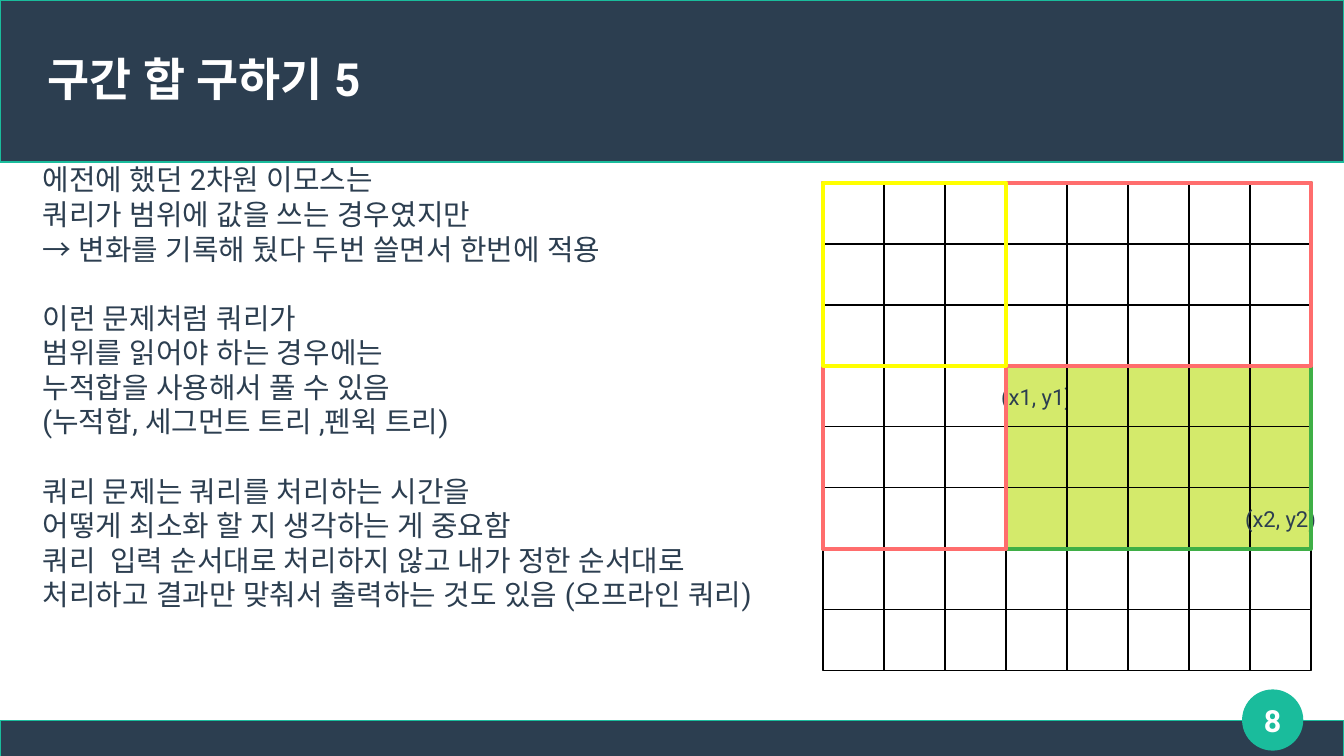
import dataclasses
import typing

import pptx
import pptx.dml.color
import pptx.enum.shapes
import pptx.enum.text
import pptx.oxml
import pptx.oxml.ns
import pptx.util

Inches = pptx.util.Inches
Pt = pptx.util.Pt
Align = pptx.enum.text.PP_ALIGN
Anchor = pptx.enum.text.MSO_ANCHOR
Preset = pptx.enum.shapes.MSO_SHAPE

FONT = "Roboto"
COLORS = {
    "navy": "2C3E50",
    "teal": "1ABC9C",
    "white": "FFFFFF",
    "black": "000000",
    "lime": "D4EA6B",
    "green": "3FAF46",
    "coral": "FF6D6D",
    "yellow": "FFFF00",
}

CELL = 0.5
GRID_LEFT, GRID_TOP, GRID_SIZE = 6.75, 1.5, 8
QUERY_ROWS, QUERY_COLUMNS = range(3, 6), range(3, 8)
CELL_LABELS = {(3, 3): "(x1, y1)", (5, 7): "(x2, y2)"}


@dataclasses.dataclass
class Block:
    left: float
    top: float
    width: float
    height: float
    line: str
    fill: typing.Optional[str] = None
    weight: float = 0.85
    preset: Preset = Preset.RECTANGLE


@dataclasses.dataclass
class PrefixArea:
    columns: int
    rows: int
    color: str


FRAME = [
    Block(0, 5.91, 11.02, 0.3, "teal", "navy"),
    Block(0, 0, 11.02, 1.33, "teal", "navy"),
    Block(10.19, 5.66, 0.49, 0.49, "teal", "teal", preset=Preset.OVAL),
]
PREFIX_AREAS = [
    PrefixArea(8, 6, "green"),
    PrefixArea(8, 3, "coral"),
    PrefixArea(3, 6, "coral"),
    PrefixArea(3, 3, "yellow"),
]
EXPLANATION = [
    [
        "에전에 했던 2차원 이모스는",
        "쿼리가 범위에 값을 쓰는 경우였지만",
        "→ 변화를 기록해 뒀다 두번 쓸면서 한번에 적용",
    ],
    [
        "이런 문제처럼 쿼리가",
        "범위를 읽어야 하는 경우에는",
        "누적합을 사용해서 풀 수 있음",
        "(누적합, 세그먼트 트리 ,펜윅 트리)",
    ],
    [
        "쿼리 문제는 쿼리를 처리하는 시간을",
        "어떻게 최소화 할 지 생각하는 게 중요함",
        "쿼리  입력 순서대로 처리하지 않고 내가 정한 순서대로 "
        "처리하고 결과만 맞춰서 출력하는 것도 있음 (오프라인 쿼리)",
    ],
]


def rgb(name: str) -> pptx.dml.color.RGBColor:
    return pptx.dml.color.RGBColor.from_string(COLORS[name])


def write(shape, groups: list[list[str]], *, size: float, color: str = "navy",
          bold: bool = False, align: Align = Align.LEFT,
          anchor: Anchor = Anchor.MIDDLE, wrap: bool = True,
          margins: tuple[float, float] = (0, 0), group_gap: float = 0) -> None:
    """Fill a shape with groups of lines, one paragraph a line."""
    frame = shape.text_frame
    frame.word_wrap = wrap
    frame.vertical_anchor = anchor
    frame.margin_left = frame.margin_right = Inches(margins[0])
    frame.margin_top = frame.margin_bottom = Inches(margins[1])
    for group_index, lines in enumerate(groups):
        for line_index, line in enumerate(lines):
            first = group_index == line_index == 0
            paragraph = frame.paragraphs[0] if first else frame.add_paragraph()
            paragraph.alignment = align
            starts_group = group_index > 0 and line_index == 0
            paragraph.space_before = Pt(group_gap if starts_group else 0)
            run = paragraph.add_run()
            run.text = line
            run.font.name = FONT
            run.font.size = Pt(size)
            run.font.bold = bold
            run.font.color.rgb = rgb(color)
            # Korean glyphs follow the same typeface setting
            east_asian = pptx.oxml.parse_xml(
                f'<a:ea {pptx.oxml.ns.nsdecls("a")} typeface="{FONT}"/>')
            run.font._element.append(east_asian)


def draw(slide, block: Block):
    shape = slide.shapes.add_shape(
        block.preset, Inches(block.left), Inches(block.top),
        Inches(block.width), Inches(block.height))
    shape.shadow.inherit = False
    if block.fill:
        shape.fill.solid()
        shape.fill.fore_color.rgb = rgb(block.fill)
    else:
        shape.fill.background()
    shape.line.color.rgb = rgb(block.line)
    shape.line.width = Pt(block.weight)
    return shape


def draw_grid(slide) -> None:
    for row in range(GRID_SIZE):
        for column in range(GRID_SIZE):
            queried = row in QUERY_ROWS and column in QUERY_COLUMNS
            cell = draw(slide, Block(
                GRID_LEFT + column * CELL, GRID_TOP + row * CELL, CELL, CELL,
                "black", "lime" if queried else None))
            if (row, column) in CELL_LABELS:
                write(cell, [[CELL_LABELS[row, column]]], size=13,
                      align=Align.CENTER, wrap=False, margins=(0.1, 0.05))


def add_text_box(slide, left: float, top: float, width: float, height: float):
    return slide.shapes.add_textbox(
        Inches(left), Inches(top), Inches(width), Inches(height))


def main() -> None:
    deck = pptx.Presentation()
    deck.slide_width, deck.slide_height = Inches(11.02), Inches(6.2)
    slide = deck.slides.add_slide(deck.slide_layouts[5])
    slide.background.fill.solid()
    slide.background.fill.fore_color.rgb = rgb("white")

    # Header, footer and page badge
    for block in FRAME:
        draw(slide, block)

    # Title, brought in front of the header band
    title = slide.shapes.title
    title.left, title.top = Inches(0.39), Inches(0.25)
    title.width, title.height = Inches(10.24), Inches(0.79)
    write(title, [["구간 합 구하기 5"]], size=27, color="white", bold=True)
    slide.shapes._spTree.append(title._element)

    # Grid with the queried range and the prefix sums around it
    draw_grid(slide)
    for area in PREFIX_AREAS:
        draw(slide, Block(GRID_LEFT, GRID_TOP, area.columns * CELL,
                          area.rows * CELL, area.color, weight=2.3))

    # Explanation
    explanation = add_text_box(slide, 0.25, 1.28, 6.25, 4.88)
    write(explanation, EXPLANATION, size=17, anchor=Anchor.TOP,
          margins=(0.1, 0.05), group_gap=20.5)

    # Page number
    page_number = add_text_box(slide, 10.04, 5.66, 0.79, 0.49)
    write(page_number, [["8"]], size=18, color="white", bold=True,
          align=Align.CENTER)

    deck.save("out.pptx")


if __name__ == "__main__":
    main()
